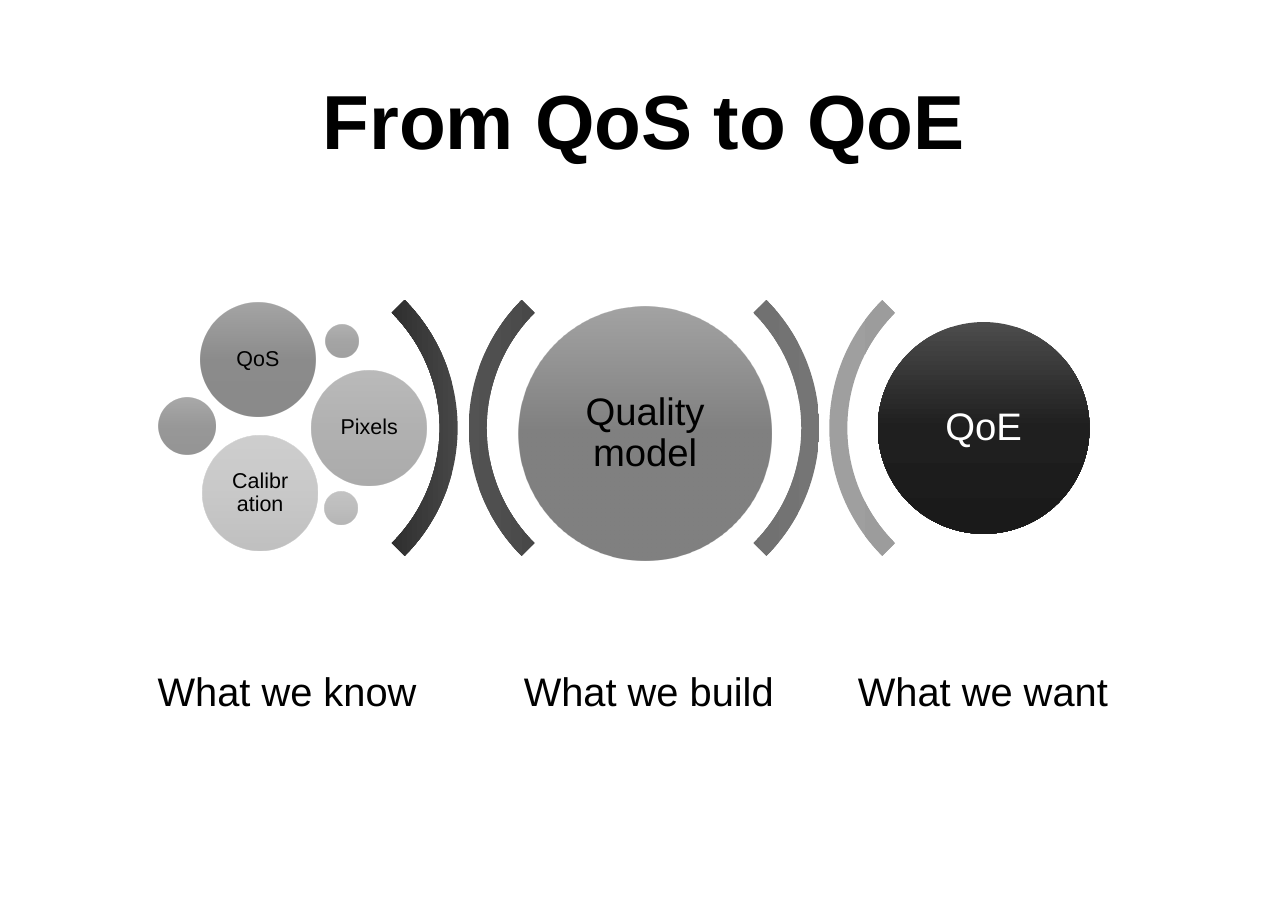
from lxml.etree import SubElement
from pptx import Presentation
from pptx.dml.color import RGBColor
from pptx.enum.shapes import MSO_SHAPE
from pptx.enum.text import MSO_ANCHOR, MSO_AUTO_SIZE, PP_ALIGN
from pptx.oxml.ns import qn
from pptx.util import Inches, Pt

BLACK = RGBColor(0x00, 0x00, 0x00)
WHITE = RGBColor(0xFF, 0xFF, 0xFF)


def tones(*values):
    return [RGBColor(value, value, value) for value in values]


INK = tones(0x47, 0x00, 0x00)
COAL = tones(0x4A, 0x18, 0x14)
GRAPHITE = tones(0x53, 0x31, 0x2A)
SLATE = tones(0x63, 0x4A, 0x41)
STEEL = tones(0x75, 0x63, 0x57)
ASH = tones(0x8A, 0x7C, 0x6C)
SILVER = tones(0x9F, 0x94, 0x82)
NIGHT = tones(0x4C, 0x1F, 0x1A)


def write_text(shape, text, size=14, color=BLACK, bold=False, inset=0.06, spacing=0.9):
    frame = shape.text_frame
    frame.word_wrap = True
    frame.auto_size = MSO_AUTO_SIZE.NONE
    frame.vertical_anchor = MSO_ANCHOR.MIDDLE
    frame.margin_left = frame.margin_right = Inches(inset)
    frame.margin_top = frame.margin_bottom = Inches(inset)
    paragraph = frame.paragraphs[0]
    paragraph.alignment = PP_ALIGN.CENTER
    paragraph.line_spacing = spacing
    run = paragraph.add_run()
    run.text = text
    run.font.name = "Arial"
    run.font.size = Pt(size)
    run.font.bold = bold
    run.font.color.rgb = color


class QualityDiagram:
    """Draw the diagram's elements on one slide in a shared style."""

    def __init__(self, slide):
        self.slide = slide
        self.arc_top = 2.24
        self.arc_size = 3.28
        self.label_top = 5.96
        self.label_height = 0.66

    def title(self, text):
        heading = self.slide.shapes.title
        heading.left, heading.top = Inches(0.87), Inches(0.39)
        heading.width, heading.height = Inches(9.94), Inches(1.38)
        write_text(heading, text, size=50, bold=True, spacing=1.0)

    def shade(self, shape, colors, opacity):
        shape.shadow.inherit = False
        shape.line.fill.background()
        shape.fill.gradient()
        shape.fill.gradient_angle = 270
        stops = shape.element.spPr.find(qn("a:gradFill")).find(qn("a:gsLst"))
        for stop in list(stops):
            stops.remove(stop)
        for position, color in zip((0, 50, 100), colors):
            stop = SubElement(stops, qn("a:gs"), pos=str(position * 1000))
            tone = SubElement(stop, qn("a:srgbClr"), val=str(color))
            if opacity < 100:
                SubElement(tone, qn("a:alpha"), val=str(opacity * 1000))

    def circle(self, left, top, diameter, colors, text=None, opacity=50, **text_format):
        disc = self.slide.shapes.add_shape(
            MSO_SHAPE.OVAL, Inches(left), Inches(top), Inches(diameter), Inches(diameter))
        self.shade(disc, colors, opacity)
        if text:
            write_text(disc, text, **text_format)

    def arc(self, left, rotation, colors):
        bracket = self.slide.shapes.add_shape(
            MSO_SHAPE.BLOCK_ARC, Inches(left), Inches(self.arc_top),
            Inches(self.arc_size), Inches(self.arc_size))
        bracket.rotation = rotation
        for index, value in enumerate((135, 189, 0.05)):
            bracket.adjustments[index] = value
        self.shade(bracket, colors, 100)

    def label(self, left, width, text):
        caption = self.slide.shapes.add_textbox(
            Inches(left), Inches(self.label_top), Inches(width), Inches(self.label_height))
        write_text(caption, text, size=26, inset=0.1)


def main():
    presentation = Presentation()
    presentation.slide_width = Inches(11.68)
    presentation.slide_height = Inches(8.26)
    diagram = QualityDiagram(presentation.slides.add_slide(presentation.slide_layouts[5]))
    diagram.title("From QoS to QoE")

    for left, rotation, colors in (
            (0.87, 90, INK), (4.25, 270, GRAPHITE), (4.15, 90, STEEL), (7.52, 270, SILVER)):
        diagram.arc(left, rotation, colors)

    for left, top, colors, source in (
            (1.82, 2.74, COAL, "QoS"),
            (2.83, 3.36, STEEL, "Pixels"),
            (1.84, 3.95, SILVER, "Calibration")):
        diagram.circle(left, top, 1.04, colors, source)
    for left, top, diameter, colors in (
            (1.44, 3.61, 0.51, GRAPHITE), (2.95, 2.94, 0.3, SLATE), (2.94, 4.46, 0.3, ASH)):
        diagram.circle(left, top, diameter, colors)

    diagram.circle(4.7, 2.78, 2.3, INK, "Quality model", size=25, inset=0)
    diagram.circle(7.96, 2.92, 1.92, NIGHT, "QoE", opacity=100, size=25, color=WHITE, inset=0.1)

    for left, width, stage in (
            (1.22, 2.77, "What we know"),
            (4.64, 2.49, "What we build"),
            (7.67, 2.49, "What we want")):
        diagram.label(left, width, stage)

    presentation.save("out.pptx")


if __name__ == "__main__":
    main()
